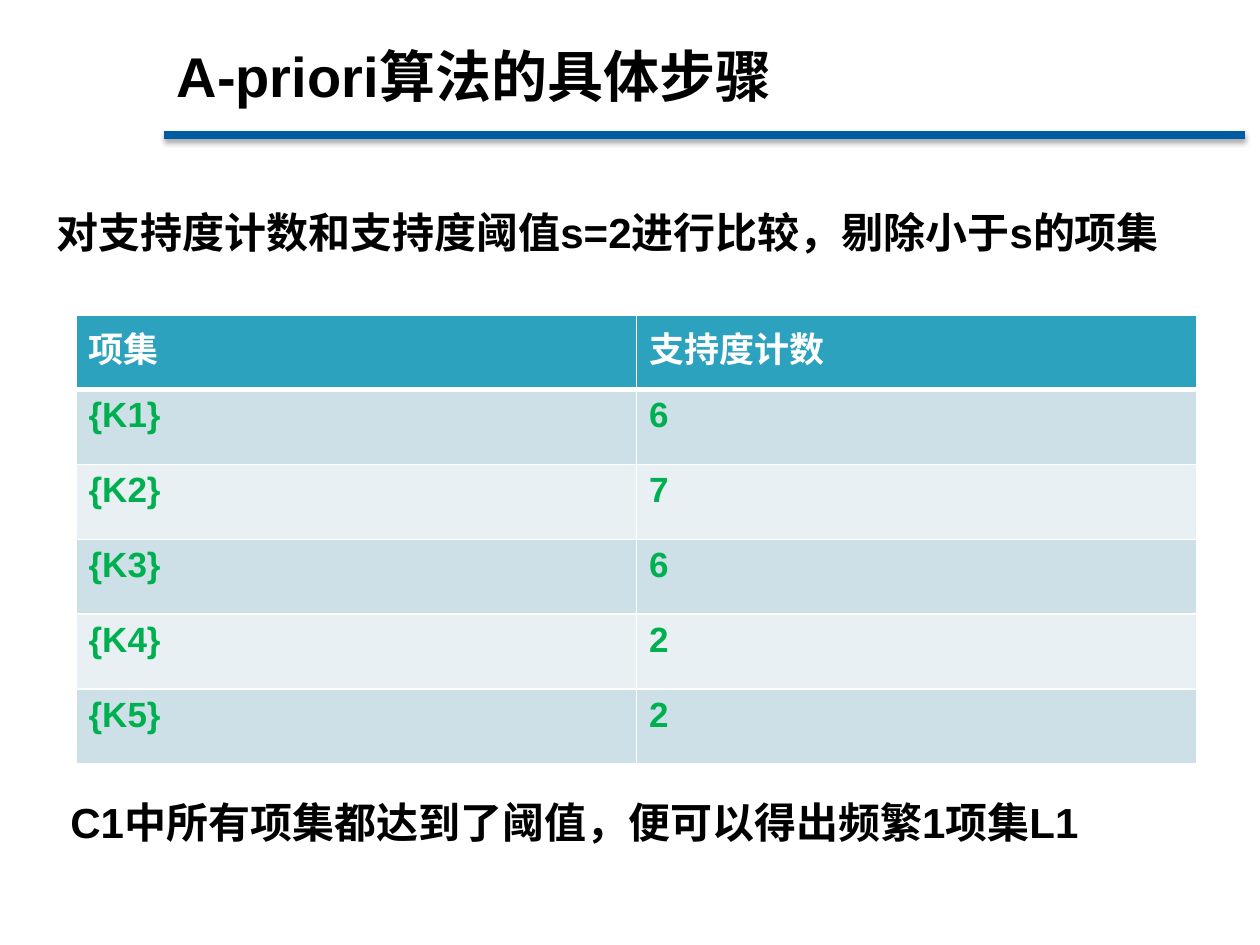
from dataclasses import dataclass

import lxml.etree
import pptx
import pptx.dml.color
import pptx.enum.shapes
import pptx.enum.text
import pptx.oxml.ns
import pptx.util

EMU_PER_PIXEL = 914400 / 126


@dataclass(frozen=True)
class Theme:
    """Colours, type sizes and font of the slide."""
    font: str = "Arial"
    ink: str = "000000"
    rule: str = "005CA2"
    white: str = "FFFFFF"
    header: str = "2DA2BF"
    bands: tuple = ("CDE0E8", "E8F0F4")
    value: str = "00B050"
    title_size: int = 32
    statement_size: int = 24
    table_size: int = 20


@dataclass(frozen=True)
class Box:
    """A rectangle in pixels."""
    left: int
    top: int
    width: int
    height: int

    def emu(self) -> tuple:
        """Return the four lengths in EMU."""
        return tuple(px(n) for n in (self.left, self.top, self.width, self.height))


@dataclass(frozen=True)
class Statement:
    """A line of body text."""
    text: str
    box: Box
    line_spacing: float = 1.0
    space_before: float = 0


THEME = Theme()
TITLE_BOX = Box(164, 16, 1089, 118)
TABLE_BOX = Box(76, 315, 1121, 449)
STATEMENTS = (
    Statement("对支持度计数和支持度阈值s=2进行比较，剔除小于s的项集",
              Box(44, 175, 1191, 111), 1.5, 4.8),
    Statement("C1中所有项集都达到了阈值，便可以得出频繁1项集L1",
              Box(58, 790, 1177, 63)),
)
TABLE_ROWS = (("项集", "支持度计数"), ("{K1}", "6"), ("{K2}", "7"),
              ("{K3}", "6"), ("{K4}", "2"), ("{K5}", "2"))


def px(pixels: float) -> pptx.util.Emu:
    """Turn pixels into EMU."""
    return pptx.util.Emu(round(pixels * EMU_PER_PIXEL))


def rgb(value: str) -> pptx.dml.color.RGBColor:
    """Turn a hexadecimal string into a colour."""
    return pptx.dml.color.RGBColor.from_string(value)


def child(parent, tag: str, **attributes):
    """Append an XML element with the given attributes."""
    return lxml.etree.SubElement(parent, pptx.oxml.ns.qn(tag),
                                 {key: str(value) for key, value in attributes.items()})


def write(text_frame, text: str, *, size: int, color: str = THEME.ink,
          line_spacing: float = 1.0, space_before: float = 0) -> None:
    """Write one bold, left-aligned paragraph."""
    text_frame.word_wrap = True
    paragraph = text_frame.paragraphs[0]
    paragraph.alignment = pptx.enum.text.PP_ALIGN.LEFT
    paragraph.line_spacing = line_spacing
    paragraph.space_before = pptx.util.Pt(space_before)
    run = paragraph.add_run()
    run.text = text
    run.font.name = THEME.font
    run.font.size = pptx.util.Pt(size)
    run.font.bold = True
    run.font.color.rgb = rgb(color)


def add_title(slide, text: str) -> None:
    """Place and fill the title."""
    title = slide.shapes.title
    title.left, title.top, title.width, title.height = TITLE_BOX.emu()
    title.text_frame.vertical_anchor = pptx.enum.text.MSO_ANCHOR.MIDDLE
    write(title.text_frame, text, size=THEME.title_size)


def add_title_rule(slide) -> None:
    """Draw the shadowed line under the title."""
    rule = slide.shapes.add_connector(pptx.enum.shapes.MSO_CONNECTOR.STRAIGHT,
                                      px(164), px(135), px(1245), px(135))
    rule.line.color.rgb = rgb(THEME.rule)
    rule.line.width = pptx.util.Pt(4.5)
    effects = child(rule._element.spPr, "a:effectLst")
    shadow = child(effects, "a:outerShdw", blurRad=pptx.util.Pt(3.1),
                   dist=pptx.util.Pt(1.8), dir=90 * 60000, rotWithShape=0)
    child(child(shadow, "a:srgbClr", val=THEME.ink), "a:alpha", val=35000)


def add_statement(slide, statement: Statement) -> None:
    """Add a line of body text."""
    shape = slide.shapes.add_textbox(*statement.box.emu())
    write(shape.text_frame, statement.text, size=THEME.statement_size,
          line_spacing=statement.line_spacing, space_before=statement.space_before)


def set_borders(cell, **widths: float) -> None:
    """Give a cell white borders; widths in points by side."""
    properties = cell._tc.get_or_add_tcPr()
    for side in "LRTB":
        border = child(properties, f"a:ln{side}", w=pptx.util.Pt(widths.get(side, 1)))
        child(child(border, "a:solidFill"), "a:srgbClr", val=THEME.white)


def add_item_table(slide) -> None:
    """Add the table of item sets and their support counts."""
    table = slide.shapes.add_table(len(TABLE_ROWS), len(TABLE_ROWS[0]),
                                   *TABLE_BOX.emu()).table
    for row, texts in enumerate(TABLE_ROWS):
        fill = THEME.bands[(row - 1) % 2] if row else THEME.header
        color = THEME.value if row else THEME.white
        edges = {0: {"B": 3}, 1: {"T": 3}}.get(row, {})
        for column, text in enumerate(texts):
            cell = table.cell(row, column)
            set_borders(cell, **edges)
            cell.fill.solid()
            cell.fill.fore_color.rgb = rgb(fill)
            write(cell.text_frame, text, size=THEME.table_size, color=color)


def main() -> None:
    """Build and save the presentation."""
    presentation = pptx.Presentation()
    presentation.slide_width, presentation.slide_height = px(1260), px(945)
    slide = presentation.slides.add_slide(presentation.slide_layouts[5])
    add_title_rule(slide)
    add_title(slide, "A-priori算法的具体步骤")
    add_item_table(slide)
    for statement in STATEMENTS:
        add_statement(slide, statement)
    presentation.save("out.pptx")


main()
